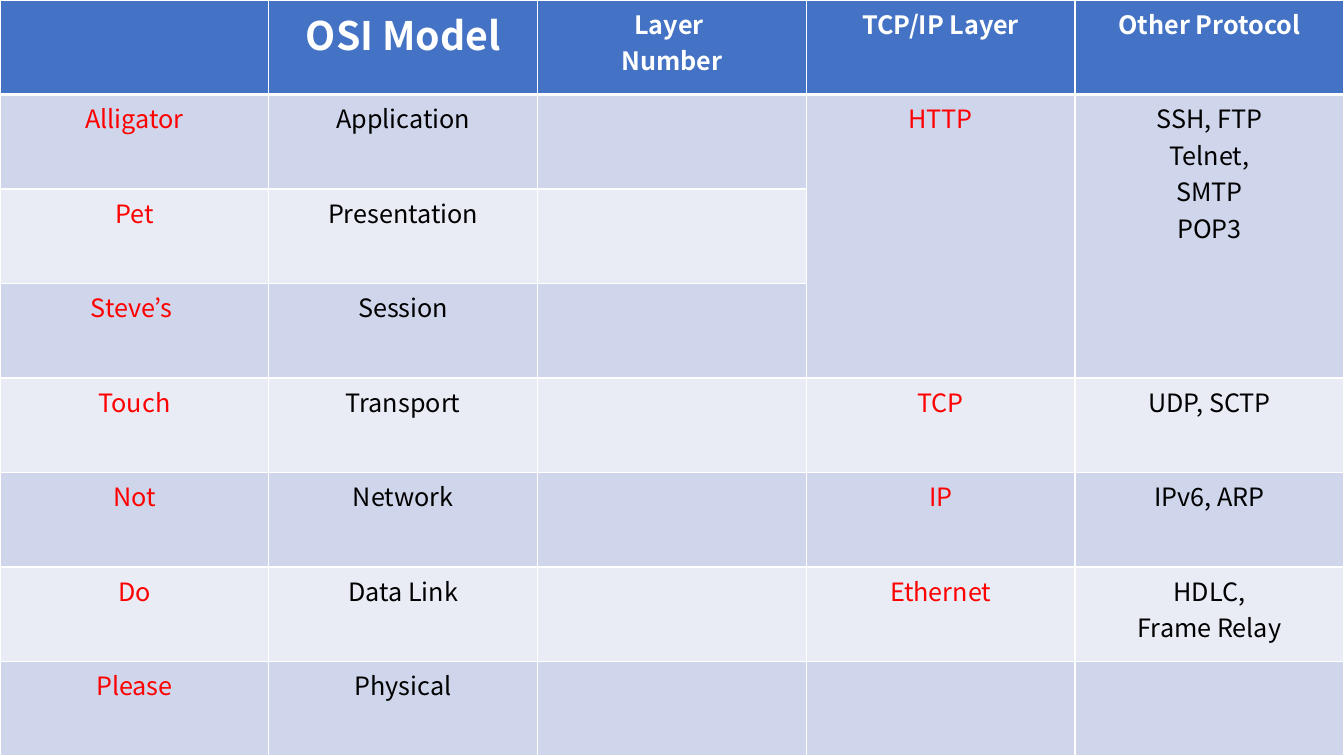
from dataclasses import dataclass

import lxml.etree
import pptx
import pptx.dml.color
import pptx.enum.text
import pptx.oxml.ns
import pptx.util


@dataclass(frozen=True)
class Theme:
    font: str = "Noto Sans CJK KR"
    header_fill: str = "4472C4"
    band_fills: tuple = ("CFD5EA", "E9EBF5")
    border: str = "FFFFFF"
    header_text: str = "FFFFFF"
    body_text: str = "000000"
    accent_text: str = "FF0000"
    title_size: int = 28
    text_size: int = 18
    thin_line: int = 1
    thick_line: int = 3


THEME = Theme()
SLIDE_WIDTH, SLIDE_HEIGHT = 33.87, 19.05

HEADINGS = ["", "OSI Model", "Layer \nNumber", "TCP/IP Layer", "Other Protocol"]
LAYERS = [
    ["Alligator", "Application", "", "HTTP", "SSH, FTP\nTelnet,\nSMTP\nPOP3"],
    ["Pet", "Presentation", "", "", ""],
    ["Steve’s ", "Session", "", "", ""],
    ["Touch", "Transport", "", "TCP", "UDP, SCTP"],
    ["Not", "Network", "", "IP", "IPv6, ARP"],
    ["Do", "Data Link", "", "Ethernet", "HDLC,\nFrame Relay"],
    ["Please", "Physical", "", "", ""],
]
MNEMONIC, MODEL, NUMBER, TCP_IP, OTHER = range(len(HEADINGS))
ACCENT_COLUMNS = (MNEMONIC, TCP_IP)
SHARED_ROWS = (1, 3)  # one TCP/IP layer covers the top three OSI layers


def rgb(value):
    return pptx.dml.color.RGBColor.from_string(value)


def set_borders(cell, top, bottom):
    qn = pptx.oxml.ns.qn
    properties = cell._tc.get_or_add_tcPr()
    widths = {"lnL": THEME.thin_line, "lnR": THEME.thin_line, "lnT": top, "lnB": bottom}
    for side, width in widths.items():
        line = lxml.etree.SubElement(
            properties, qn(f"a:{side}"), w=str(pptx.util.Pt(width)))
        fill = lxml.etree.SubElement(line, qn("a:solidFill"))
        lxml.etree.SubElement(fill, qn("a:srgbClr"), val=THEME.border)


def write_cell(cell, text, size, color, bold):
    for index, words in enumerate(text.split("\n")):
        frame = cell.text_frame
        paragraph = frame.add_paragraph() if index else frame.paragraphs[0]
        paragraph.alignment = pptx.enum.text.PP_ALIGN.CENTER
        paragraph.font.size = pptx.util.Pt(size)
        if words:
            run = paragraph.add_run()
            run.text = words
            run.font.name = THEME.font
            run.font.size = pptx.util.Pt(size)
            run.font.bold = bold
            run.font.color.rgb = rgb(color)


def fill_cell(cell, color):
    cell.fill.solid()
    cell.fill.fore_color.rgb = rgb(color)


def add_header_row(table):
    for column, heading in enumerate(HEADINGS):
        cell = table.cell(0, column)
        set_borders(cell, THEME.thin_line, THEME.thick_line)
        fill_cell(cell, THEME.header_fill)
        size = THEME.title_size if column == MODEL else THEME.text_size
        write_cell(cell, heading, size, THEME.header_text, True)


def add_layer_rows(table):
    for row, layer in enumerate(LAYERS, start=1):
        top = THEME.thick_line if row == 1 else THEME.thin_line
        for column, text in enumerate(layer):
            cell = table.cell(row, column)
            set_borders(cell, top, THEME.thin_line)
            fill_cell(cell, THEME.band_fills[(row - 1) % 2])
            color = THEME.accent_text if column in ACCENT_COLUMNS else THEME.body_text
            write_cell(cell, text, THEME.text_size, color, False)

    # Protocols shared by several layers
    first, last = SHARED_ROWS
    for column in (TCP_IP, OTHER):
        table.cell(first, column).merge(table.cell(last, column))


def add_layer_table(slide, left, top, width, height):
    row_count, column_count = len(LAYERS) + 1, len(HEADINGS)
    table = slide.shapes.add_table(
        row_count, column_count, pptx.util.Cm(left), pptx.util.Cm(top),
        pptx.util.Cm(width), pptx.util.Cm(height)).table
    for column in table.columns:
        column.width = pptx.util.Cm(width / column_count)
    for row in table.rows:
        row.height = pptx.util.Cm(height / row_count)
    add_header_row(table)
    add_layer_rows(table)


def main():
    presentation = pptx.Presentation()
    presentation.slide_width = pptx.util.Cm(SLIDE_WIDTH)
    presentation.slide_height = pptx.util.Cm(SLIDE_HEIGHT)
    slide = presentation.slides.add_slide(presentation.slide_layouts[6])
    add_layer_table(slide, 0, 0, SLIDE_WIDTH, SLIDE_HEIGHT)
    presentation.save("out.pptx")


if __name__ == "__main__":
    main()
